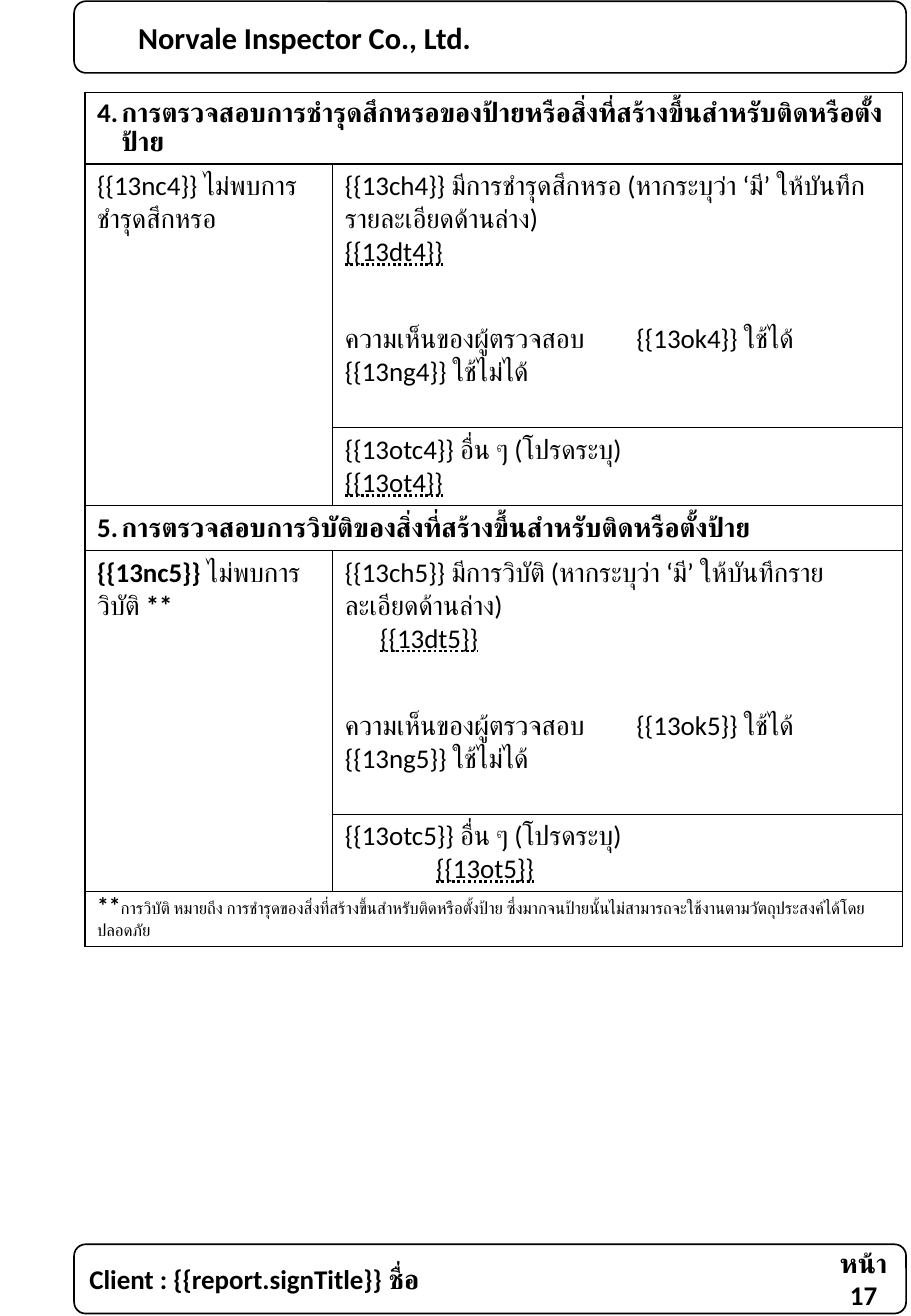
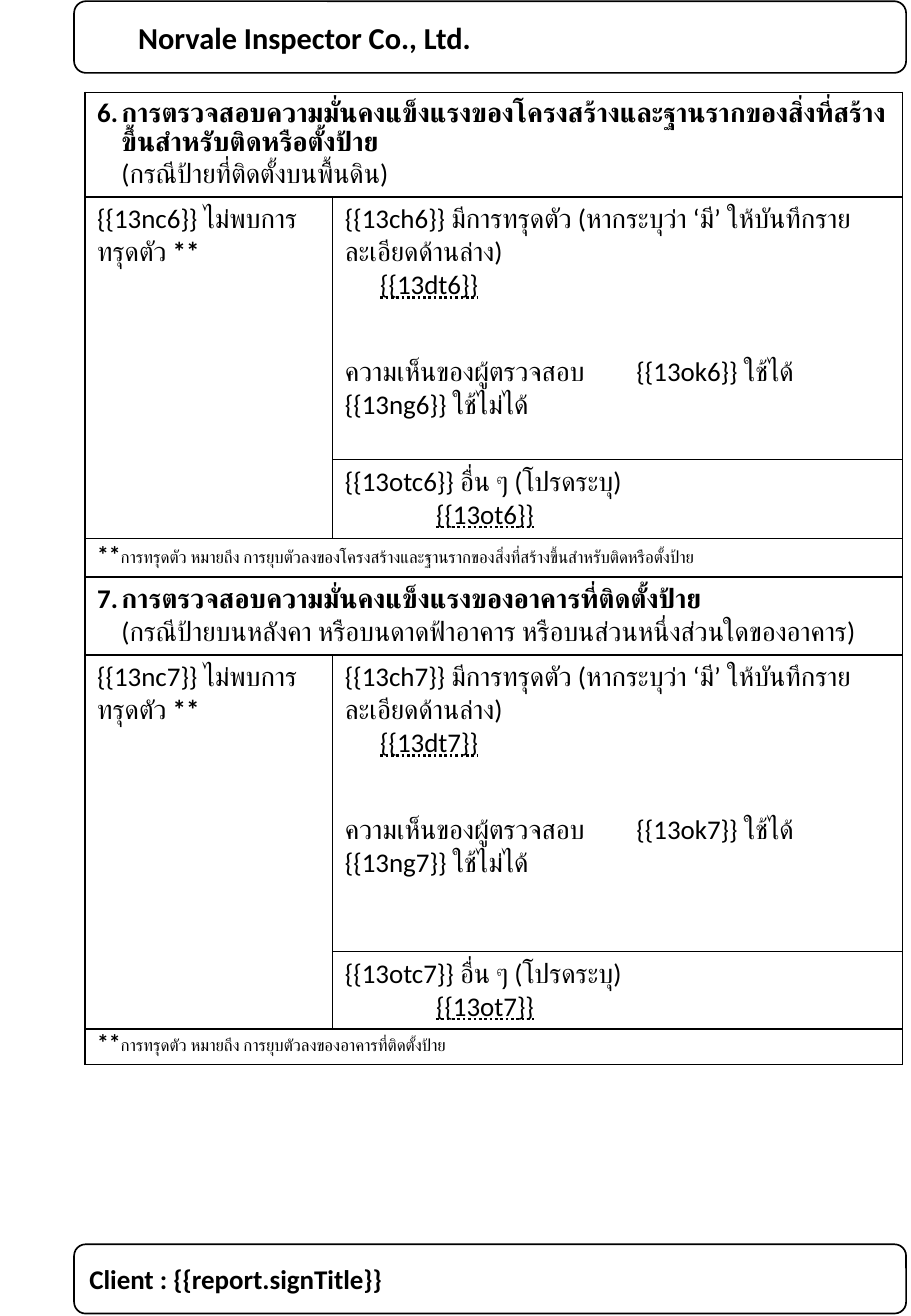
import dataclasses

import lxml.etree
import pptx
import pptx.dml.color
import pptx.enum.shapes
import pptx.enum.text
import pptx.oxml.ns
import pptx.util

Inches = pptx.util.Inches
Pt = pptx.util.Pt
qn = pptx.oxml.ns.qn
Anchor = pptx.enum.text.MSO_ANCHOR

COLORS = {"ink": "000000"}
FONT = "Calibri"
BODY_SIZE = 16
HEADER_BOX = (0.61, 0.01, 6.85, 0.59)
FOOTER_BOX = (0.61, 10.24, 6.85, 0.57)
TABLE_LEFT, TABLE_TOP = 0.7, 0.76
COLUMN_WIDTHS = (2.04, 4.69)
THICK, THIN = 1, 0.5
TIGHT = 0.9
DOTTED = pptx.enum.text.MSO_UNDERLINE.DOTTED_LINE


@dataclasses.dataclass
class Section:
    number: int
    title: str
    absent: str
    present: str
    heights: tuple
    subtitle: str = ""
    long_title: bool = False
    star: bool = True
    bold_code: bool = False
    indents: tuple = (0.29, 0.75)
    note: str = ""
    note_top: float = 0
    other_line: float = THIN


WEAR = Section(
    4, "การตรวจสอบการชำรุดสึกหรอของป้ายหรือสิ่งที่สร้างขึ้นสำหรับติดหรือตั้งป้าย",
    "ไม่พบการชำรุดสึกหรอ", "มีการชำรุดสึกหรอ", (0.59, 2.17, 0.64),
    long_title=True, star=False, indents=(0, 0))
FAILURE = Section(
    5, "การตรวจสอบการวิบัติของสิ่งที่สร้างขึ้นสำหรับติดหรือตั้งป้าย",
    "ไม่พบการวิบัติ", "มีการวิบัติ", (0.37, 2.17, 0.64, 0.43), bold_code=True,
    note="การวิบัติ หมายถึง การชำรุดของสิ่งที่สร้างขึ้นสำหรับติดหรือตั้งป้าย "
         "ซึ่งมากจนป้ายนั้นไม่สามารถจะใช้งานตามวัตถุประสงค์ได้โดยปลอดภัย")
FOUNDATION = Section(
    6, "การตรวจสอบความมั่นคงแข็งแรงของโครงสร้างและฐานรากของสิ่งที่สร้างขึ้นสำหรับติดหรือตั้งป้าย",
    "ไม่พบการทรุดตัว", "มีการทรุดตัว", (0.86, 2.16, 0.65, 0.32), long_title=True,
    subtitle="(กรณีป้ายที่ติดตั้งบนพื้นดิน)", note_top=0.02,
    note="การทรุดตัว หมายถึง การยุบตัวลงของโครงสร้างและฐานราก"
         "ของสิ่งที่สร้างขึ้นสำหรับติดหรือตั้งป้าย")
BUILDING = Section(
    7, "การตรวจสอบความมั่นคงแข็งแรงของอาคารที่ติดตั้งป้าย",
    "ไม่พบการทรุดตัว", "มีการทรุดตัว", (0.64, 2.44, 0.64, 0.29),
    subtitle="(กรณีป้ายบนหลังคา หรือบนดาดฟ้าอาคาร หรือบนส่วนหนึ่งส่วนใดของอาคาร)",
    note="การทรุดตัว หมายถึง การยุบตัวลงของอาคารที่ติดตั้งป้าย", other_line=THICK)

PAGES = (
    ("Client : {{report.signTitle}} ชื่อ", "หน้า 17", (WEAR, FAILURE)),
    ("Client : {{report.signTitle}}", "", (FOUNDATION, BUILDING)),
)


def add_run(para, text, size=BODY_SIZE, bold=False, underline=None):
    span = para.add_run()
    span.text = text
    font = span.font
    font.name, font.size, font.bold = FONT, Pt(size), bold
    font.underline = underline
    font.color.rgb = pptx.dml.color.RGBColor.from_string(COLORS["ink"])
    lxml.etree.SubElement(span._r.get_or_add_rPr(), qn("a:cs"), typeface=FONT)


def set_indent(para, margin=0, hanging=0):
    """Set the left margin and hanging indent, in inches."""
    properties = para._p.get_or_add_pPr()
    properties.set("marL", str(Inches(margin)))
    properties.set("indent", str(Inches(-hanging)))


def add_band(page, box, text, size, margin=0):
    band = page.shapes.add_shape(
        pptx.enum.shapes.MSO_SHAPE.ROUNDED_RECTANGLE, *map(Inches, box))
    band.shadow.inherit = False
    band.fill.background()
    band.line.color.rgb = pptx.dml.color.RGBColor.from_string(COLORS["ink"])
    band.line.width = Pt(1)
    band.text_frame.vertical_anchor = Anchor.MIDDLE
    para = band.text_frame.paragraphs[0]
    para.alignment = pptx.enum.text.PP_ALIGN.LEFT
    set_indent(para, margin)
    add_run(para, text, size, bold=True)


def add_page_number(page, footer_box, text):
    left, top, width, height = footer_box
    number_width = 0.7
    box = page.shapes.add_textbox(
        Inches(left + width - number_width), Inches(top),
        Inches(number_width), Inches(height))
    box.text_frame.word_wrap = True
    box.text_frame.vertical_anchor = Anchor.MIDDLE
    para = box.text_frame.paragraphs[0]
    para.alignment = pptx.enum.text.PP_ALIGN.CENTER
    add_run(para, text, bold=True)


def set_borders(cell, **widths):
    """Draw cell edges; the keywords L, R, T and B give widths in points."""
    properties = cell._tc.get_or_add_tcPr()
    for position, side in enumerate("LRTB"):
        line = lxml.etree.Element(qn("a:ln" + side), w=str(Pt(widths.get(side, THICK))))
        fill = lxml.etree.SubElement(line, qn("a:solidFill"))
        lxml.etree.SubElement(fill, qn("a:srgbClr"), val=COLORS["ink"])
        properties.insert(position, line)


def fill_heading(cell, section):
    cell.vertical_anchor = Anchor.MIDDLE
    para = cell.text_frame.paragraphs[0]
    set_indent(para, 0.2, 0.2)
    if section.long_title:
        para.line_spacing = TIGHT
    add_run(para, f"{section.number}.\t{section.title}", bold=True)
    if section.subtitle:
        para = cell.text_frame.add_paragraph()
        set_indent(para, 0.2)
        add_run(para, section.subtitle)


def fill_absent(cell, section):
    para = cell.text_frame.paragraphs[0]
    add_run(para, f"{{{{13nc{section.number}}}}}", bold=section.bold_code)
    add_run(para, f" {section.absent}" + (" " if section.star else ""))
    if section.star:
        add_run(para, "**", bold=True)


def fill_answer(cell, statement, field, indent):
    """Write a statement and, under it, a dotted field to fill in."""
    add_run(cell.text_frame.paragraphs[0], statement)
    para = cell.text_frame.add_paragraph()
    set_indent(para, indent)
    add_run(para, field, underline=DOTTED)


def fill_opinion(cell, number):
    usable = cell.text_frame.add_paragraph()
    usable.space_before = Pt(32)
    set_indent(usable, 2.4, 2.4)
    add_run(usable, f"ความเห็นของผู้ตรวจสอบ\t{{{{13ok{number}}}}} ใช้ได้")
    unusable = cell.text_frame.add_paragraph()
    set_indent(unusable)
    add_run(unusable, f"{{{{13ng{number}}}}} ใช้ไม่ได้")


def fill_note(cell, section):
    cell.margin_top = Inches(section.note_top)
    para = cell.text_frame.paragraphs[0]
    add_run(para, "**", 14, bold=True)
    add_run(para, section.note, 10)


def fill_section(table, first, section):
    """Fill the rows of one section, starting at row index first."""
    number = section.number
    detail, other, note = first + 1, first + 2, first + 3
    full_rows = [first] + ([note] if section.note else [])
    for row in full_rows:
        table.cell(row, 0).merge(table.cell(row, 1))
        for column in range(2):
            set_borders(table.cell(row, column))
    table.cell(detail, 0).merge(table.cell(other, 0))
    for row, edge in ((detail, "B"), (other, "T")):
        set_borders(table.cell(row, 0), R=THIN)
        set_borders(table.cell(row, 1), L=THIN, **{edge: section.other_line})

    fill_heading(table.cell(first, 0), section)
    fill_absent(table.cell(detail, 0), section)
    detail_indent, other_indent = section.indents
    fill_answer(
        table.cell(detail, 1),
        f"{{{{13ch{number}}}}} {section.present} (หากระบุว่า ‘มี’ ให้บันทึกรายละเอียดด้านล่าง)",
        f"{{{{13dt{number}}}}}", detail_indent)
    fill_opinion(table.cell(detail, 1), number)
    fill_answer(table.cell(other, 1), f"{{{{13otc{number}}}}} อื่น ๆ (โปรดระบุ)",
                f"{{{{13ot{number}}}}}", other_indent)
    if section.note:
        fill_note(table.cell(note, 0), section)


def add_checklist(page, left, top, sections):
    heights = [height for section in sections for height in section.heights]
    table = page.shapes.add_table(
        len(heights), len(COLUMN_WIDTHS), Inches(left), Inches(top),
        Inches(sum(COLUMN_WIDTHS)), Inches(sum(heights))).table
    table.first_row = table.horz_banding = False
    for column, width in zip(table.columns, COLUMN_WIDTHS):
        column.width = Inches(width)
    for row, height in zip(table.rows, heights):
        row.height = Inches(height)
        for cell in row.cells:
            cell.fill.background()
    first = 0
    for section in sections:
        fill_section(table, first, section)
        first += len(section.heights)


def add_page(deck, client, page_number, sections):
    page = deck.slides.add_slide(deck.slide_layouts[6])
    add_band(page, HEADER_BOX, "Norvale Inspector Co., Ltd.", 18, margin=0.4)
    add_band(page, FOOTER_BOX, client, BODY_SIZE)
    if page_number:
        add_page_number(page, FOOTER_BOX, page_number)
    add_checklist(page, TABLE_LEFT, TABLE_TOP, sections)


def main():
    deck = pptx.Presentation()
    deck.slide_width, deck.slide_height = Inches(7.5), Inches(10.83)
    for client, page_number, sections in PAGES:
        add_page(deck, client, page_number, sections)
    deck.save("out.pptx")


if __name__ == "__main__":
    main()
